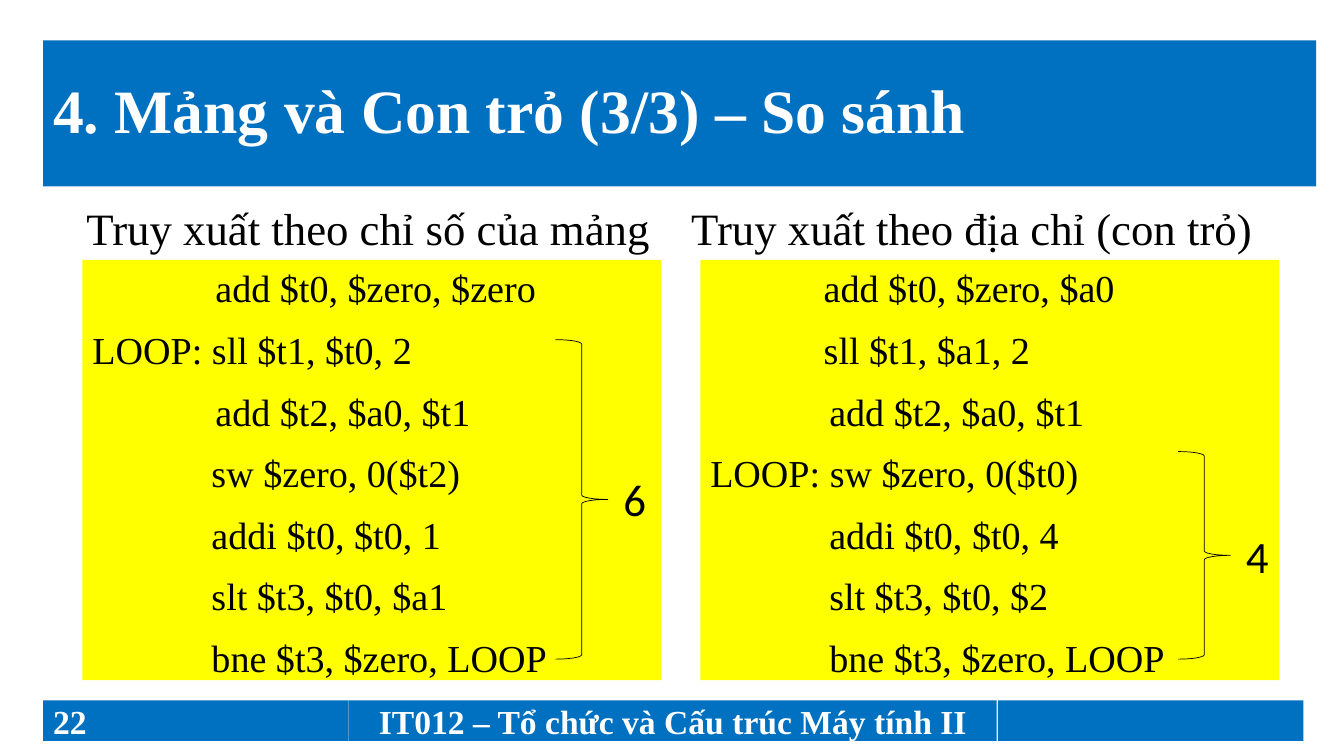
import pptx
import pptx.dml.color
import pptx.enum.shapes
import pptx.enum.text
import pptx.oxml
import pptx.oxml.ns
import pptx.util

Cm = pptx.util.Cm
Pt = pptx.util.Pt
Shapes = pptx.enum.shapes.MSO_SHAPE
Anchor = pptx.enum.text.MSO_ANCHOR
Align = pptx.enum.text.PP_ALIGN

BLUE, YELLOW, BLACK, WHITE = "0070C0", "FFFF00", "000000", "FFFFFF"
SERIF, SANS = "Times New Roman", "Calibri"

# Left indents of code lines, in cm
LABEL, NARROW, NORMAL, WIDE = 0, 2.86, 3, 3.1


def color(value):
    return pptx.dml.color.RGBColor.from_string(value)


class SlideBuilder:
    text_format = {"name": SERIF, "size": Pt(32), "bold": False}

    def __init__(self, slide):
        self.slide = slide

    def fill_paragraph(self, paragraph, text, font_color=BLACK, indent=0, tab=None,
                       font=None, **layout):
        """Set text and format; indent and tab are in cm, layout holds paragraph attributes."""
        paragraph.text = text
        properties = paragraph._p.get_or_add_pPr()
        properties.set("marL", str(Cm(indent)))
        properties.set("indent", "0")
        if tab:
            namespace = pptx.oxml.ns.nsdecls("a")
            properties.append(pptx.oxml.parse_xml(
                f'<a:tabLst {namespace}><a:tab pos="{Cm(tab)}" algn="l"/></a:tabLst>'))
        for name, value in {"alignment": Align.LEFT, **layout}.items():
            setattr(paragraph, name, value)
        for name, value in {**self.text_format, **(font or {})}.items():
            setattr(paragraph.font, name, value)
        paragraph.font.color.rgb = color(font_color)

    def shape(self, kind, left, top, width, height, fill=None, line=None):
        shape = self.slide.shapes.add_shape(kind, Cm(left), Cm(top), Cm(width), Cm(height))
        shape.shadow.inherit = False
        if fill:
            shape.fill.solid()
            shape.fill.fore_color.rgb = color(fill)
        else:
            shape.fill.background()
        if line:
            shape.line.color.rgb = color(line)
            shape.line.width = Pt(0.5)
        else:
            shape.line.fill.background()
        return shape

    def bar(self, left, top, width, height, text="", size=24, **layout):
        """Blue band with bold white text."""
        frame = self.shape(Shapes.RECTANGLE, left, top, width, height, fill=BLUE).text_frame
        frame.vertical_anchor = Anchor.MIDDLE
        if text:
            self.fill_paragraph(frame.paragraphs[0], text, WHITE,
                                font={"size": Pt(size), "bold": True}, **layout)

    def text(self, left, top, width, height, text, wrap=True, **options):
        box = self.slide.shapes.add_textbox(Cm(left), Cm(top), Cm(width), Cm(height))
        box.text_frame.word_wrap = wrap
        self.fill_paragraph(box.text_frame.paragraphs[0], text, **options)

    def code(self, left, lines):
        panel = self.shape(Shapes.RECTANGLE, left, 6.55, 14.58, 10.59, fill=YELLOW)
        frame = panel.text_frame
        frame.vertical_anchor = Anchor.TOP
        for index, (indent, line) in enumerate(lines):
            paragraph = frame.add_paragraph() if index else frame.paragraphs[0]
            self.fill_paragraph(paragraph, line, indent=indent, font={"size": Pt(27.2)},
                                space_before=Pt(11.3 if index else 0))

    def brace(self, left, top, height, count, count_top):
        """Brace over the loop body with its instruction count."""
        self.shape(Shapes.RIGHT_BRACE, left, top, 1.32, height, line=BLACK)
        self.text(left + 1.46, count_top, 1.09, 1.63, count, wrap=False, font={"name": SANS})


def main():
    presentation = pptx.Presentation()
    presentation.slide_width = Cm(33.87)
    presentation.slide_height = Cm(19.05)
    builder = SlideBuilder(presentation.slides.add_slide(presentation.slide_layouts[6]))

    builder.bar(1.09, 1.02, 32.08, 3.68, "4. Mảng và Con trỏ (3/3) – So sánh",
                size=44, line_spacing=0.9)
    builder.bar(8.79, 17.65, 16.33, 1.02, "IT012 – Tổ chức và Cấu trúc Máy tính II",
                alignment=Align.CENTER)
    builder.bar(25.15, 17.65, 7.7, 1.02)
    builder.bar(1.09, 17.65, 7.7, 1.02, "22")

    builder.text(1.93, 5.08, 30.9, 1.5,
                 "Truy xuất theo chỉ số của mảng\tTruy xuất theo địa chỉ (con trỏ)",
                 tab=15.58, line_spacing=0.9)

    builder.code(2.08, [
        (WIDE, "add $t0, $zero, $zero"),
        (LABEL, "LOOP: sll $t1, $t0, 2"),
        (WIDE, "add $t2, $a0, $t1"),
        (NORMAL, "sw $zero, 0($t2)"),
        (NORMAL, "addi $t0, $t0, 1"),
        (NORMAL, "slt $t3, $t0, $a1"),
        (NORMAL, "bne $t3, $zero, LOOP"),
    ])
    builder.code(17.65, [
        (NARROW, "add $t0, $zero, $a0"),
        (NARROW, "sll $t1, $a1, 2"),
        (NORMAL, "add $t2, $a0, $t1"),
        (LABEL, "LOOP: sw $zero, 0($t0)"),
        (NORMAL, "addi $t0, $t0, 4"),
        (NORMAL, "slt $t3, $t0, $2"),
        (NORMAL, "bne $t3, $zero, LOOP"),
    ])
    builder.brace(14, 8.56, 8.05, "6", 11.76)
    builder.brace(29.69, 11.38, 5.23, "4", 13.21)

    presentation.save("out.pptx")


if __name__ == "__main__":
    main()
